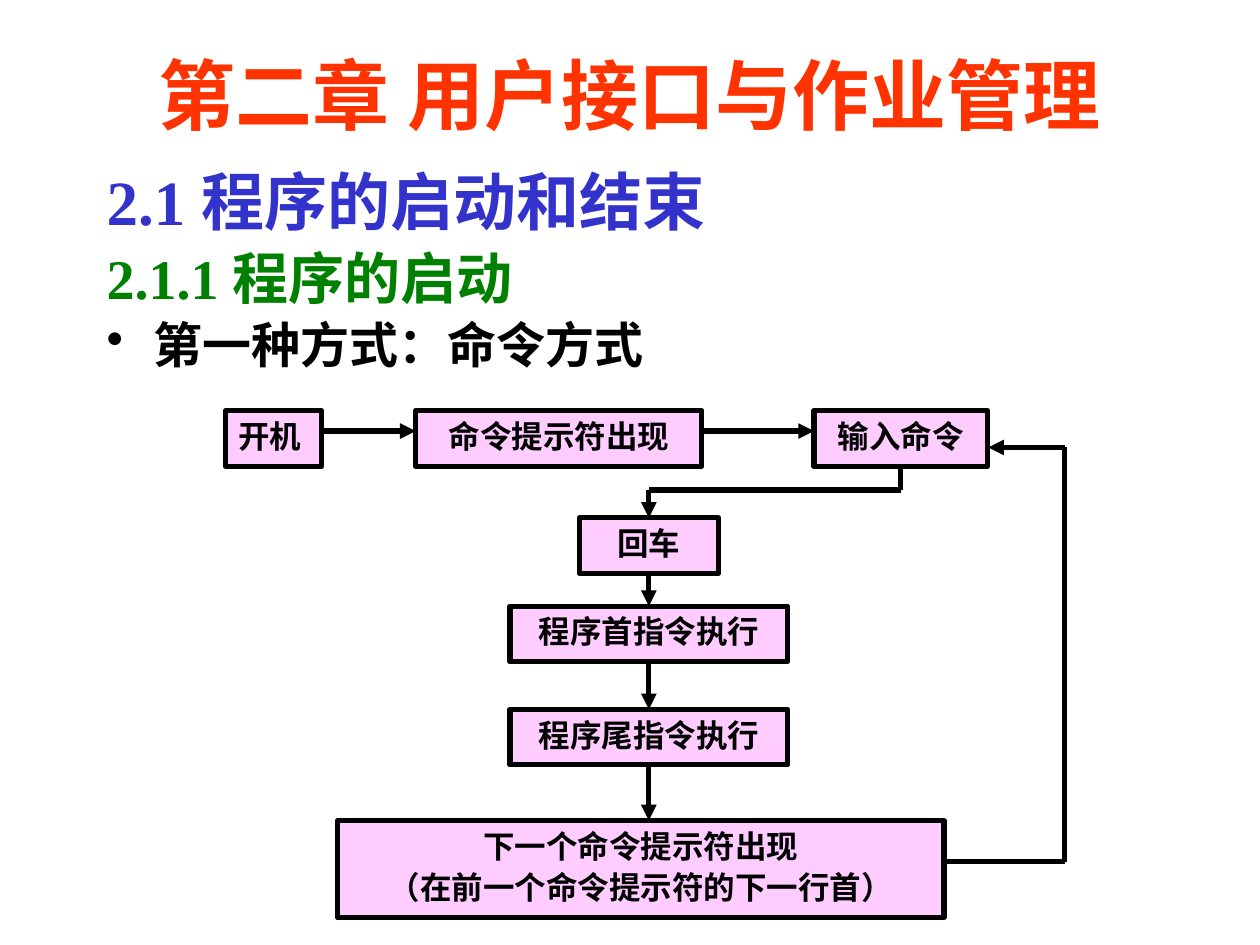
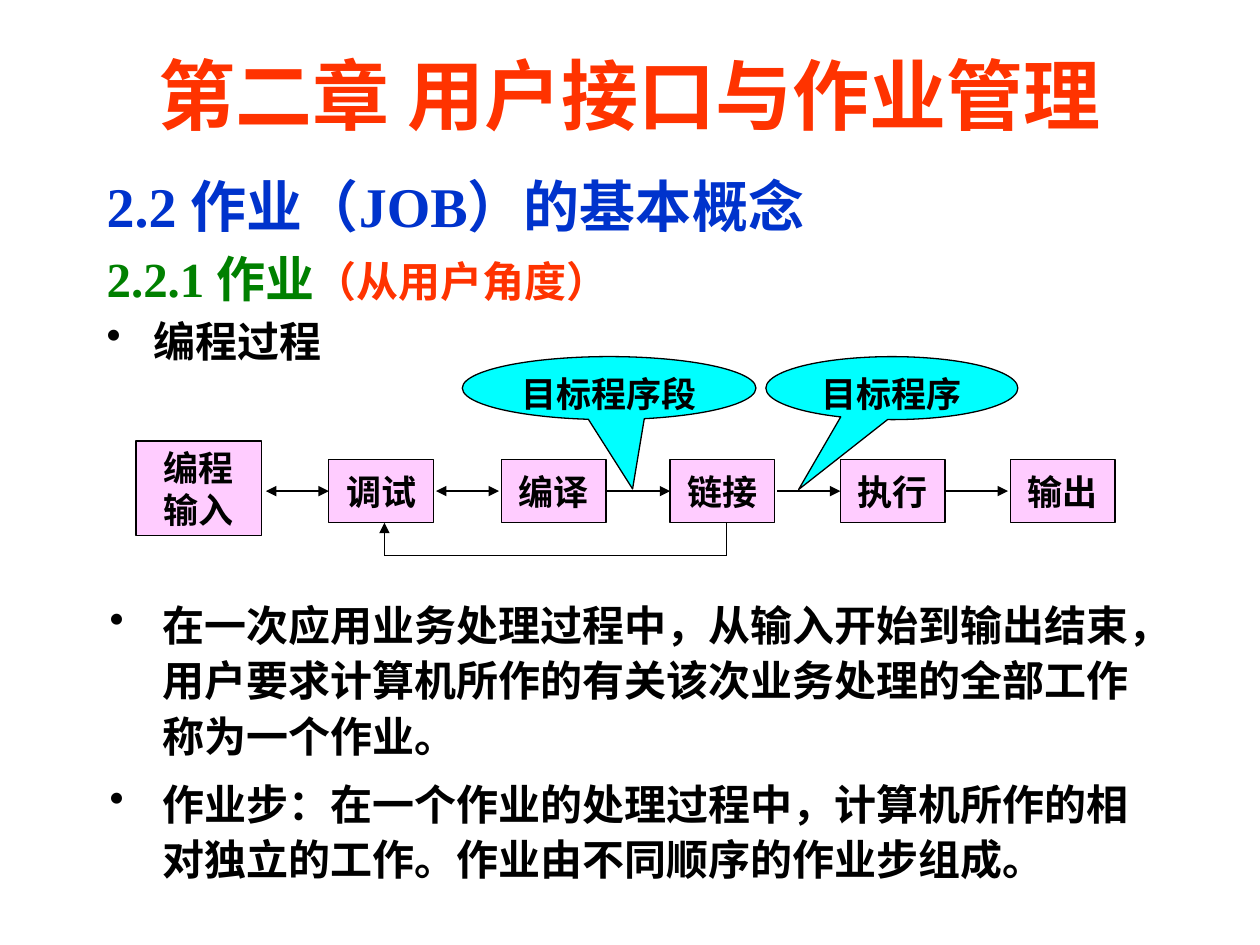
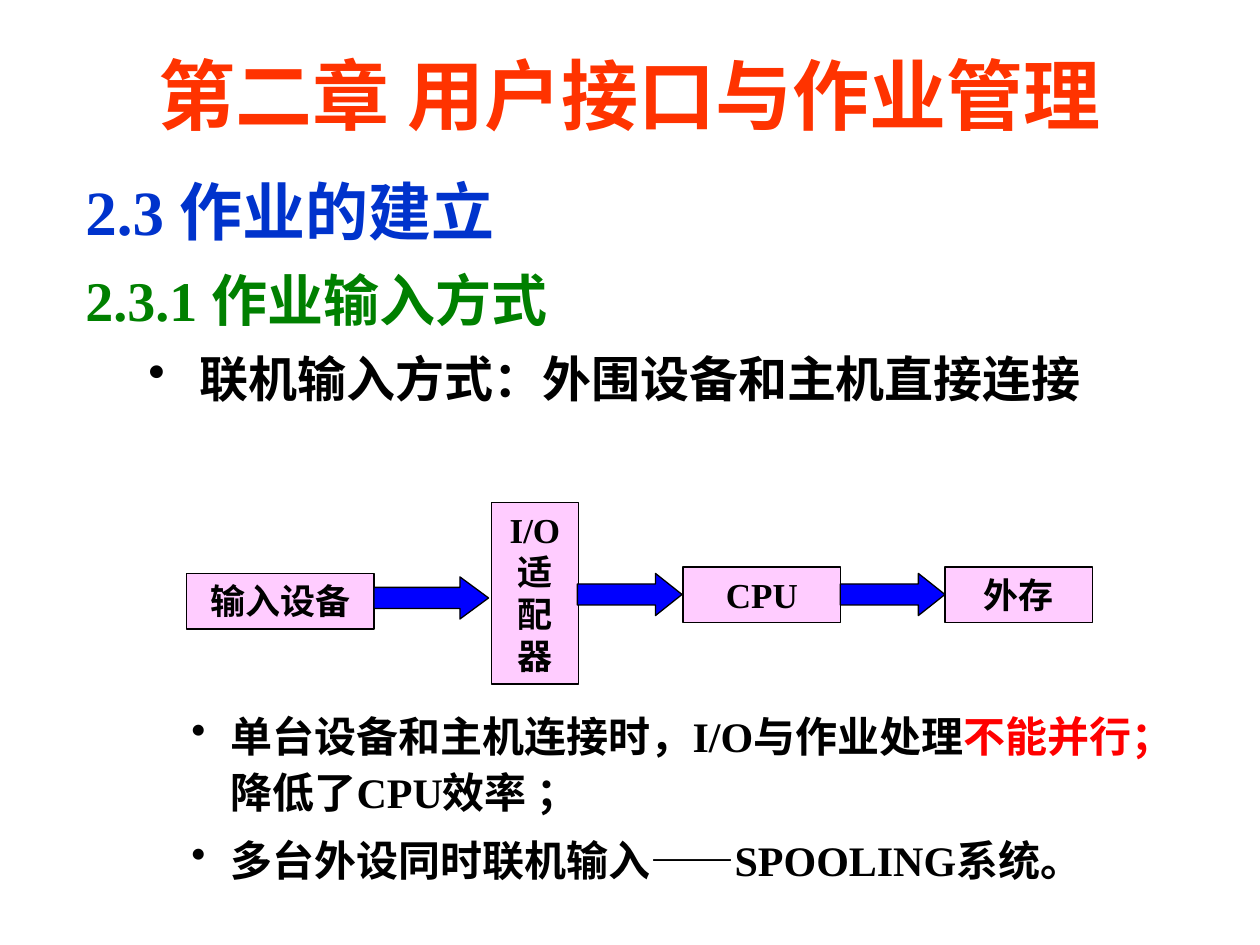
from itertools import pairwise

from lxml.etree import SubElement
from pptx import Presentation
from pptx.dml.color import RGBColor
from pptx.enum.shapes import MSO_CONNECTOR, MSO_SHAPE
from pptx.enum.text import MSO_ANCHOR, PP_ALIGN
from pptx.oxml.ns import qn
from pptx.util import Cm, Pt

COLOURS = {
    "title": "FF3300",
    "indigo": "3333CC",
    "blue": "0033CC",
    "green": "008000",
    "red": "FF0000",
    "black": "000000",
    "box": "FFCCFF",
    "callout": "00FFFF",
    "arrow": "0000FF",
}
FONT = "Times New Roman"
TITLE = "第二章 用户接口与作业管理"
BOX_HEIGHT = 1.12
THICK, THIN = 3, 0.75


def colour(name):
    return RGBColor.from_string(COLOURS[name])


def apply_format(target, values):
    for name, value in values.items():
        setattr(target, name, value)


def run(text, size, colour_name="black"):
    return text, size, colour_name


def paragraph_of(*runs, bullet=False, margin=0.95, hanging=0.95):
    return {"runs": runs, "bullet": bullet, "margin": margin, "hanging": hanging}


def centred(*lines, size):
    return [paragraph_of(run(line, size), margin=0, hanging=0) for line in lines]


def set_indent(paragraph, content):
    properties = paragraph._p.get_or_add_pPr()
    properties.set("marL", str(Cm(content["margin"])))
    properties.set("indent", str(-Cm(content["hanging"])))
    if content["bullet"]:
        SubElement(properties, qn("a:buChar")).set("char", "•")


def fill_text(frame, contents, spacing=0.0, **formats):
    """Write paragraphs; spacing is the gap between them as a share of the text size."""
    frame.word_wrap = True
    for index, content in enumerate(contents):
        paragraph = frame.paragraphs[0] if index == 0 else frame.add_paragraph()
        set_indent(paragraph, content)
        if index:
            paragraph.space_before = Pt(content["runs"][0][1] * spacing)
        apply_format(paragraph, formats)
        for text, size, colour_name in content["runs"]:
            text_run = paragraph.add_run()
            text_run.text = text
            apply_format(text_run.font, {"name": FONT, "size": Pt(size), "bold": True})
            text_run.font.color.rgb = colour(colour_name)


def add_text(slide, place, contents, anchor=MSO_ANCHOR.TOP, **options):
    frame = slide.shapes.add_textbox(*map(Cm, place)).text_frame
    frame.vertical_anchor = anchor
    fill_text(frame, contents, **options)


def add_shape(slide, kind, place, fill, width=THIN, adjustments=()):
    shape = slide.shapes.add_shape(kind, *map(Cm, place))
    shape.shadow.inherit = False
    shape.fill.solid()
    shape.fill.fore_color.rgb = colour(fill)
    shape.line.color.rgb = colour("black")
    shape.line.width = Pt(width)
    for index, value in enumerate(adjustments):
        shape.adjustments[index] = value
    return shape


def add_box(slide, place, *lines, size=20, width=THIN, anchor=MSO_ANCHOR.TOP,
            align=PP_ALIGN.CENTER, spacing=0.0):
    shape = add_shape(slide, MSO_SHAPE.RECTANGLE, place, "box", width)
    shape.text_frame.vertical_anchor = anchor
    fill_text(shape.text_frame, centred(*lines, size=size), spacing, alignment=align)


def add_callout(slide, place, text, tip):
    shape = add_shape(slide, MSO_SHAPE.OVAL_CALLOUT, place, "callout", adjustments=tip)
    shape.text_frame.vertical_anchor = MSO_ANCHOR.TOP
    fill_text(shape.text_frame, centred(text, size=20), alignment=PP_ALIGN.CENTER)


def add_route(slide, points, width=THIN, both_ends=False):
    """Join the points with straight lines, with an arrowhead at the last point."""
    for start, end in pairwise(points):
        connector = slide.shapes.add_connector(
            MSO_CONNECTOR.STRAIGHT, *map(Cm, (*start, *end)))
        connector.line.color.rgb = colour("black")
        connector.line.width = Pt(width)
        line = connector.line._get_or_add_ln()
        if both_ends:
            SubElement(line, qn("a:headEnd")).set("type", "triangle")
        if end == points[-1]:
            SubElement(line, qn("a:tailEnd")).set("type", "triangle")
        SubElement(connector._element.spPr, qn("a:effectLst"))


def add_chapter_slide(presentation):
    slide = presentation.slides.add_slide(presentation.slide_layouts[6])
    title = paragraph_of(run(TITLE, 44, "title"), margin=0, hanging=0)
    add_text(slide, (1.9, 0.71, 21.6, 2.34), [title],
             anchor=MSO_ANCHOR.MIDDLE, alignment=PP_ALIGN.CENTER)
    return slide


def build_program_start(presentation):
    slide = add_chapter_slide(presentation)
    add_text(slide, (1.9, 3.33, 21.8, 4.24), [
        paragraph_of(run("2.1 程序的启动和结束", 36, "indigo")),
        paragraph_of(run("2.1.1 程序的启动", 32, "green")),
        paragraph_of(run("第一种方式：命令方式", 28), bullet=True),
    ], spacing=0.2, line_spacing=0.9)

    row_top, row_arrow = 8.28, 8.69
    row = [("开机", 4.55, 1.93, PP_ALIGN.LEFT),
           ("命令提示符出现", 8.38, 5.77, PP_ALIGN.CENTER),
           ("输入命令", 16.41, 3.5, PP_ALIGN.CENTER)]
    for text, left, width, align in row:
        add_box(slide, (left, row_top, width, BOX_HEIGHT), text,
                size=18, width=THICK, align=align)
    for (_, left, width, _), (_, next_left, _, _) in pairwise(row):
        add_route(slide, [(left + width, row_arrow), (next_left, row_arrow)], THICK)

    centre = 13.08
    column = [("回车", 10.44, 2.8), ("程序首指令执行", 12.22, 5.6),
              ("程序尾指令执行", 14.3, 5.6)]
    for text, top, width in column:
        add_box(slide, (centre - width / 2, top, width, BOX_HEIGHT), text,
                size=18, width=THICK)
    add_box(slide, (6.81, 16.54, 12.22, 1.96), "下一个命令提示符出现",
            "（在前一个命令提示符的下一行首）", size=18, width=THICK, spacing=0.1)
    tops = [top for _, top, _ in column] + [16.54]
    for top, next_top in pairwise(tops):
        add_route(slide, [(centre, top + BOX_HEIGHT), (centre, next_top)], THICK)

    add_route(slide, [(18.16, 9.4), (18.16, 9.88), (centre, 9.88), (centre, 10.44)], THICK)
    add_route(slide, [(19.03, 17.37), (21.46, 17.37), (21.46, 9.02), (19.92, 9.02)], THICK)


def build_job_concept(presentation):
    slide = add_chapter_slide(presentation)
    add_text(slide, (1.9, 3.33, 21.6, 4.44), [
        paragraph_of(run("2.2 作业（JOB）的基本概念", 32, "blue")),
        paragraph_of(run("2.2.1 作业", 28, "green"), run("（从用户角度）", 24, "title")),
        paragraph_of(run("编程过程", 24), bullet=True),
    ], spacing=0.2)
    definitions = [
        "在一次应用业务处理过程中，从输入开始到输出结束，"
        "用户要求计算机所作的有关该次业务处理的全部工作称为一个作业。",
        "作业步：在一个作业的处理过程中，计算机所作的相对独立的工作。"
        "作业由不同顺序的作业步组成。",
    ]
    add_text(slide, (1.96, 11.86, 21.8, 6.15), [
        paragraph_of(run(text, 24), bullet=True, margin=1.06, hanging=1.06)
        for text in definitions
    ], spacing=0.3, line_spacing=1.1)

    add_box(slide, (2.74, 8.89, 2.54, 1.9), "编程", "输入", anchor=MSO_ANCHOR.MIDDLE)
    steps = {"调试": 6.63, "编译": 10.11, "链接": 13.51, "执行": 16.94, "输出": 20.37}
    for text, left in steps.items():
        add_box(slide, (left, 9.27, 2.11, 1.27), text, anchor=MSO_ANCHOR.MIDDLE)
    for index, left in enumerate((5.36, 8.79, 12.24, 15.67, 19.05)):
        add_route(slide, [(left, 9.9), (left + 1.27, 9.9)], both_ends=index < 2)
    add_route(slide, [(14.65, 10.54), (14.65, 11.2), (7.75, 11.2), (7.75, 10.54)])

    add_callout(slide, (9.32, 7.19, 5.92, 1.27), "目标程序段", (0.08, 1.6))
    add_callout(slide, (15.44, 7.19, 5.08, 1.27), "目标程序", (-0.37, 1.61))


def build_job_creation(presentation):
    slide = add_chapter_slide(presentation)
    add_text(slide, (1.47, 3.2, 22.4, 6.78), [
        paragraph_of(run("2.3 作业的建立", 36, "blue")),
        paragraph_of(run("2.3.1 作业输入方式", 32, "green")),
        paragraph_of(run("联机输入方式：外围设备和主机直接连接", 28),
                     bullet=True, margin=2.31, hanging=1.04),
    ], spacing=0.2, line_spacing=1.1)

    for text, left, top, width, height in (
        ("输入设备", 3.76, 11.56, 3.78, BOX_HEIGHT),
        ("I/O适配器", 9.91, 10.13, 1.75, 3.66),
        ("CPU", 13.77, 11.43, 3.18, BOX_HEIGHT),
        ("外存", 19.05, 11.43, 2.97, BOX_HEIGHT),
    ):
        add_box(slide, (left, top, width, height), text)
    for left, top, width, head in ((7.54, 11.63, 2.31, 0.68), (11.64, 11.56, 2.11, 0.63),
                                   (16.94, 11.56, 2.11, 0.63)):
        add_shape(slide, MSO_SHAPE.RIGHT_ARROW, (left, top, width, 0.85), "arrow",
                  adjustments=(0.5, head))

    remarks = [
        [run("单台设备和主机连接时，I/O与作业处理", 24), run("不能并行；", 24, "red"),
         run("降低了CPU效率 ；", 24)],
        [run("多台外设同时联机输入——SPOOLING系统。", 24)],
    ]
    add_text(slide, (3.61, 14.1, 19.9, 3.91), [
        paragraph_of(*runs, bullet=True, margin=0.79, hanging=0.79) for runs in remarks
    ], spacing=0.3, line_spacing=1.1)


def main():
    presentation = Presentation()
    apply_format(presentation, {"slide_width": Cm(25.4), "slide_height": Cm(19.05)})
    build_program_start(presentation)
    build_job_concept(presentation)
    build_job_creation(presentation)
    presentation.save("out.pptx")


if __name__ == "__main__":
    main()
